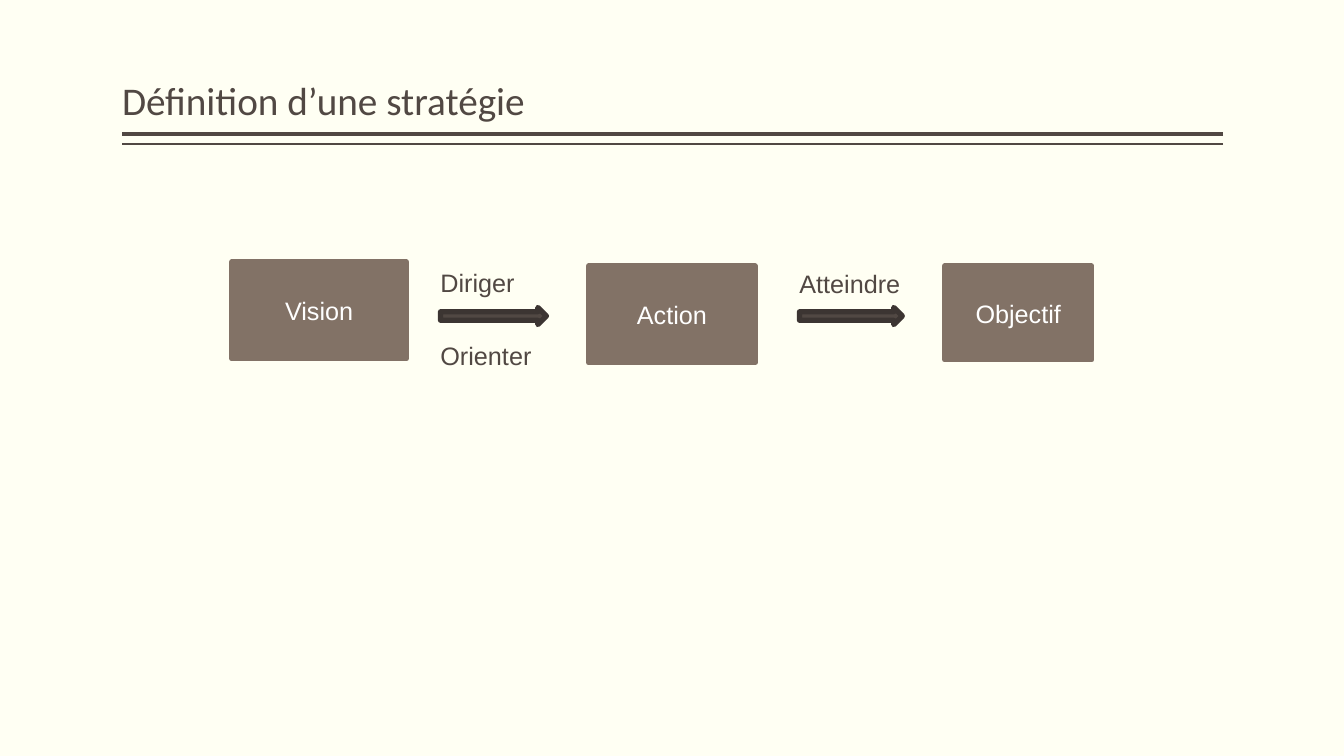
"""Build the strategy definition slide: vision, action and objective joined by arrows."""
from dataclasses import dataclass

from lxml import etree
from pptx import Presentation
from pptx import util as u
from pptx.dml.color import RGBColor
from pptx.enum import shapes, text
from pptx.oxml.ns import qn


@dataclass(frozen=True)
class Theme:
    """Colours, fonts, type sizes and line widths."""
    paper: str = "FFFFF3"
    ink: str = "514843"
    arrow_edge: str = "3C3532"
    step: str = "827266"
    step_text: str = "FFFFFF"
    title_font: str = "Calibri"
    body_font: str = "Arial"
    title_size: int = 28
    body_size: int = 18
    edge: float = 3.78


@dataclass(frozen=True)
class Area:
    """A rectangle in percent of the slide's width and height."""
    left: float
    top: float
    width: float
    height: float

    def box(self) -> tuple[int, int, int, int]:
        """Return the rectangle as slide lengths."""
        return (across(self.left), down(self.top),
                across(self.width), down(self.height))


@dataclass(frozen=True)
class Caption:
    """A piece of wording and its area."""
    wording: str
    area: Area


@dataclass(frozen=True)
class Rule:
    """A line under the title: its height in percent and weight in points."""
    top: float
    weight: float


THEME = Theme()
SLIDE_WIDTH, SLIDE_HEIGHT = u.Inches(13.33), u.Inches(7.5)
TITLE = Caption("Définition d’une stratégie", Area(9.08, 1.07, 81.92, 16))
RULES = [Rule(17.73, 3), Rule(19.07, 1)]
STEPS = [
    Caption("Vision", Area(17.25, 34.67, 12.98, 12.8)),
    Caption("Action", Area(43.81, 35.2, 12.38, 12.8)),
    Caption("Objectif", Area(70.29, 35.2, 10.95, 12.4)),
]
ARROWS = [Area(32.78, 40.67, 7.88, 2.27), Area(59.49, 40.67, 7.65, 2.27)]
LABELS = [
    Caption("Diriger", Area(32.03, 34.67, 7.88, 5.33)),
    Caption("Orienter", Area(32.03, 44.4, 9.23, 5.33)),
    Caption("Atteindre", Area(58.74, 34.8, 10.05, 5.33)),
]


def across(percent: float) -> int:
    """Convert a share of the slide's width to a length."""
    return round(SLIDE_WIDTH * percent / 100)


def down(percent: float) -> int:
    """Convert a share of the slide's height to a length."""
    return round(SLIDE_HEIGHT * percent / 100)


def rgb(code: str) -> RGBColor:
    """Convert a hexadecimal code to a colour."""
    return RGBColor.from_string(code)


def write(frame, wording: str, *, font: str = THEME.body_font,
          size: float = THEME.body_size, color: str = THEME.ink,
          align=text.PP_ALIGN.LEFT, anchor=text.MSO_ANCHOR.TOP,
          fit=text.MSO_AUTO_SIZE.NONE, spacing: float = 1.0) -> None:
    """Fill a text frame with one formatted paragraph."""
    frame.word_wrap = True
    frame.auto_size = fit
    frame.vertical_anchor = anchor
    paragraph = frame.paragraphs[0]
    paragraph.alignment = align
    paragraph.line_spacing = spacing
    run = paragraph.add_run()
    run.text = wording
    run.font.name = font
    run.font.size = u.Pt(size)
    run.font.color.rgb = rgb(color)


def draw_title(slide, title: Caption) -> None:
    """Place and format the title placeholder."""
    heading = slide.shapes.title
    heading.left, heading.top, heading.width, heading.height = title.area.box()
    heading.text_frame.margin_left = heading.text_frame.margin_right = 0
    write(heading.text_frame, title.wording, font=THEME.title_font,
          size=THEME.title_size, anchor=text.MSO_ANCHOR.BOTTOM, spacing=0.9)


def draw_rule(slide, rule: Rule) -> None:
    """Draw a line as wide as the title."""
    left, _, width, _ = TITLE.area.box()
    top = down(rule.top)
    underline = slide.shapes.add_connector(
        shapes.MSO_CONNECTOR.STRAIGHT, left + width, top, left, top)
    underline.line.color.rgb = rgb(THEME.ink)
    underline.line.width = u.Pt(rule.weight)
    etree.SubElement(underline._element.spPr, qn("a:effectLst"))


def draw_block(slide, kind, area: Area, fill: str, edge: str):
    """Draw a filled and outlined preset shape."""
    block = slide.shapes.add_shape(kind, *area.box())
    block.shadow.inherit = False
    block.fill.solid()
    block.fill.fore_color.rgb = rgb(fill)
    block.line.color.rgb = rgb(edge)
    block.line.width = u.Pt(THEME.edge)
    return block


def draw_step(slide, step: Caption) -> None:
    """Draw a step of the strategy with its centred name."""
    block = draw_block(slide, shapes.MSO_SHAPE.RECTANGLE, step.area,
                       THEME.step, THEME.step)
    write(block.text_frame, step.wording, color=THEME.step_text,
          align=text.PP_ALIGN.CENTER, anchor=text.MSO_ANCHOR.MIDDLE)


def draw_label(slide, label: Caption) -> None:
    """Write a verb beside an arrow."""
    verb = slide.shapes.add_textbox(*label.area.box())
    write(verb.text_frame, label.wording,
          fit=text.MSO_AUTO_SIZE.SHAPE_TO_FIT_TEXT)


def main() -> None:
    """Build and save the slide."""
    deck = Presentation()
    deck.slide_width, deck.slide_height = SLIDE_WIDTH, SLIDE_HEIGHT
    slide = deck.slides.add_slide(deck.slide_layouts.get_by_name("Title Only"))
    slide.background.fill.solid()
    slide.background.fill.fore_color.rgb = rgb(THEME.paper)
    for rule in RULES:
        draw_rule(slide, rule)
    draw_title(slide, TITLE)
    for step in STEPS:
        draw_step(slide, step)
    for arrow in ARROWS:
        draw_block(slide, shapes.MSO_SHAPE.RIGHT_ARROW, arrow,
                   THEME.ink, THEME.arrow_edge)
    for label in LABELS:
        draw_label(slide, label)
    deck.save("out.pptx")


if __name__ == "__main__":
    main()
